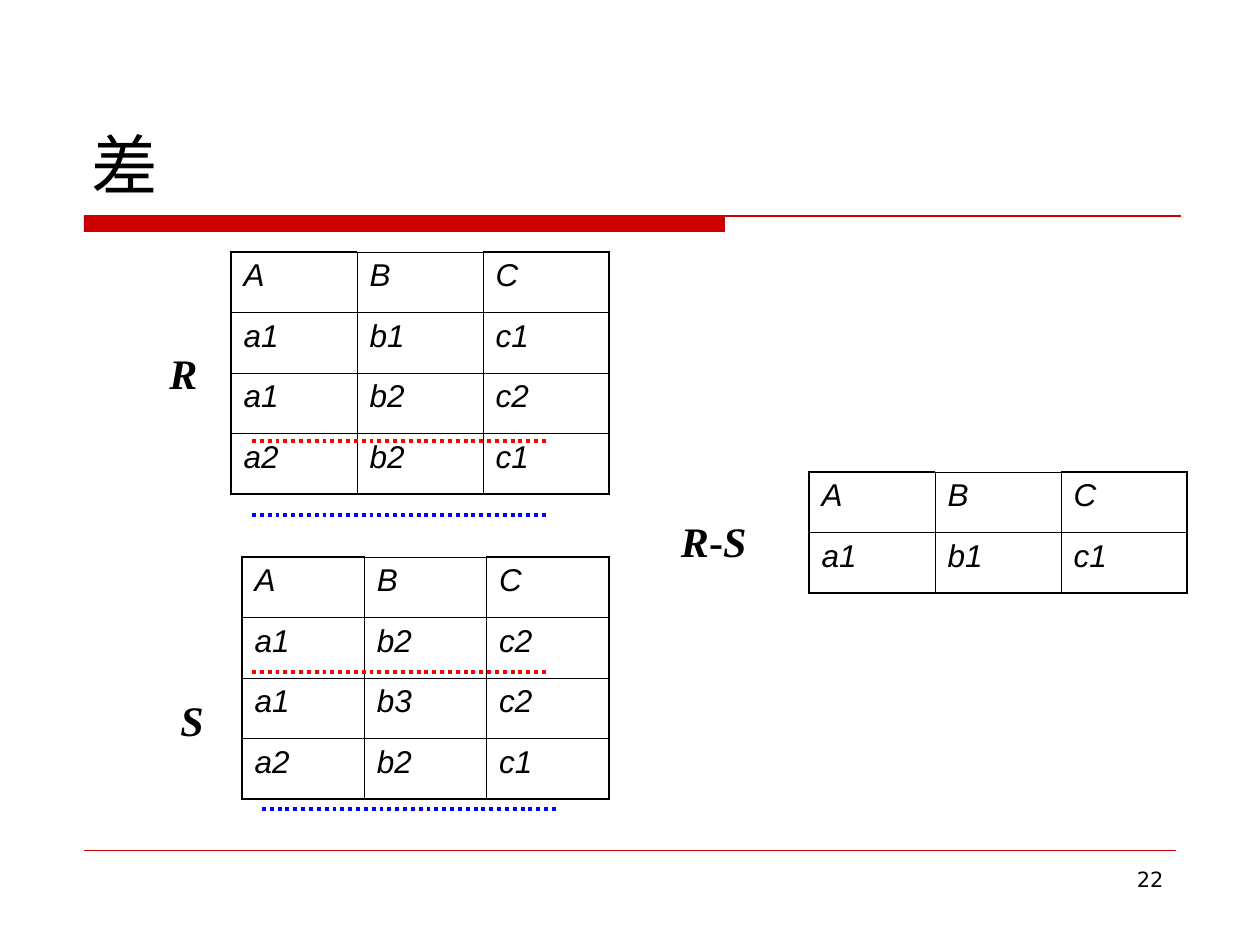
from lxml.etree import SubElement
from pptx import Presentation
from pptx.dml.color import RGBColor
from pptx.enum.dml import MSO_LINE
from pptx.enum.shapes import MSO_CONNECTOR as Connector, MSO_SHAPE as Shape
from pptx.enum.text import MSO_ANCHOR as Anchor, PP_ALIGN as Align
from pptx.oxml.ns import qn
from pptx.util import Emu, Pt

BLACK, ACCENT, RED, BLUE = "000000", "CC0000", "FF0000", "0000FF"
THIN, THICK = 0.45, 1.08

TITLE_FORMAT = dict(name="DejaVu Sans", size=Pt(38))
NUMBER_FORMAT = dict(name="DejaVu Sans", size=Pt(12))
CELL_FORMAT = dict(name="Arial", size=Pt(18), italic=True)
LABEL_FORMAT = dict(name="Times New Roman", size=Pt(24), bold=True, italic=True)

HEADER = ["A", "B", "C"]
R_ROWS = [HEADER, ["a1", "b1", "c1"], ["a1", "b2", "c2"], ["a2", "b2", "c1"]]
S_ROWS = [HEADER, ["a1", "b2", "c2"], ["a1", "b3", "c2"], ["a2", "b2", "c1"]]
DIFFERENCE_ROWS = [HEADER, ["a1", "b1", "c1"]]


def px(length):
    return Emu(round(length * 914400 / 126))


def color(code):
    return RGBColor.from_string(code)


def add_run(paragraph, text, formats):
    run = paragraph.add_run()
    run.text = text
    for attribute, value in formats.items():
        setattr(run.font, attribute, value)
    run.font.color.rgb = color(BLACK)


def add_text(slide, box, runs, align=Align.LEFT, anchor=Anchor.TOP, wrap=True):
    frame = slide.shapes.add_textbox(*map(px, box)).text_frame
    frame.word_wrap, frame.vertical_anchor = wrap, anchor
    paragraph = frame.paragraphs[0]
    paragraph.alignment = align
    for text, formats in runs:
        add_run(paragraph, text, formats)


def add_rule(shapes, left, top, width, code, weight, dash=None):
    rule = shapes.add_connector(Connector.STRAIGHT, px(left), px(top),
                                px(left + width), px(top))
    rule.line.color.rgb = color(code)
    rule.line.width = Pt(weight)
    if dash:
        rule.line.dash_style = dash
    SubElement(rule._element.spPr, qn("a:effectLst"))


def add_mark(shapes, left, top, code):
    add_rule(shapes, left, top, 294, code, 2.25, MSO_LINE.ROUND_DOT)


def set_borders(cell, weights):
    properties = cell._tc.get_or_add_tcPr()
    for position, (side, weight) in enumerate(weights.items()):
        border = properties.makeelement(qn(f"a:{side}"), {"w": str(Pt(weight))})
        fill = SubElement(border, qn("a:solidFill"))
        SubElement(fill, qn("a:srgbClr"), val=BLACK)
        properties.insert(position, border)


def add_relation(slide, box, rows):
    """Table with a heavier frame, except above its middle column."""
    last_row, last_column = len(rows) - 1, len(rows[0]) - 1
    table = slide.shapes.add_table(len(rows), len(rows[0]), *map(px, box)).table
    table.first_row = table.horz_banding = False
    for r, values in enumerate(rows):
        for c, value in enumerate(values):
            cell = table.cell(r, c)
            cell.fill.background()
            add_run(cell.text_frame.paragraphs[0], value, CELL_FORMAT)
            heavy = {"lnL": c == 0, "lnR": c == last_column,
                     "lnT": r == 0 and c in (0, last_column),
                     "lnB": r == last_row}
            set_borders(cell, {side: THICK if on else THIN
                               for side, on in heavy.items()})


def add_label(slide, box, runs):
    add_text(slide, box, runs, Align.CENTER, Anchor.MIDDLE, wrap=False)


def add_heading(slide, box):
    left, top, width, height = box
    add_text(slide, (left - 5, top, width, height), [("差", TITLE_FORMAT)],
             anchor=Anchor.BOTTOM)
    # Short bar hanging from the full-width rule
    rule_top = top + height + 6
    bar = slide.shapes.add_shape(Shape.RECTANGLE, px(left), px(rule_top),
                                 px(641), px(16))
    bar.shadow.inherit = False
    bar.fill.solid()
    bar.fill.fore_color.rgb = color(ACCENT)
    bar.line.fill.background()
    add_rule(slide.shapes, left, rule_top, 1097, ACCENT, 0.75)


def add_footer(slide, box):
    left, top, width, height = box
    add_rule(slide.shapes, left, top, width, ACCENT, 0.25)
    add_text(slide, (left + width - 273, top + 10, 273, height - 10),
             [("22", NUMBER_FORMAT)], Align.RIGHT)


def main():
    deck = Presentation()
    deck.slide_width, deck.slide_height = px(1260), px(945)
    slide = deck.slides.add_slide(deck.slide_layouts[6])

    add_heading(slide, (84, 42, 1103, 168))
    add_footer(slide, (84, 850, 1092, 76))

    # Relations
    add_relation(slide, (231, 252, 378, 242), R_ROWS)
    add_relation(slide, (809, 472, 378, 121), DIFFERENCE_ROWS)
    add_relation(slide, (242, 557, 367, 242), S_ROWS)

    # Relation names
    add_label(slide, (157, 315, 42, 116), [("R", LABEL_FORMAT)])
    add_label(slide, (168, 662, 42, 116), [("S", LABEL_FORMAT)])
    add_label(slide, (661, 483, 116, 116),
              [("R", LABEL_FORMAT), ("-", LABEL_FORMAT | {"italic": False}),
               ("S ", LABEL_FORMAT)])

    # Dotted marks under the tuples shared by R and S
    shared_tuple = slide.shapes.add_group_shape()
    for top in (441, 672):
        add_mark(shared_tuple.shapes, 252, top, RED)
    for left, top in ((252, 515), (262, 809)):
        add_mark(slide.shapes, left, top, BLUE)

    deck.save("out.pptx")


if __name__ == "__main__":
    main()
